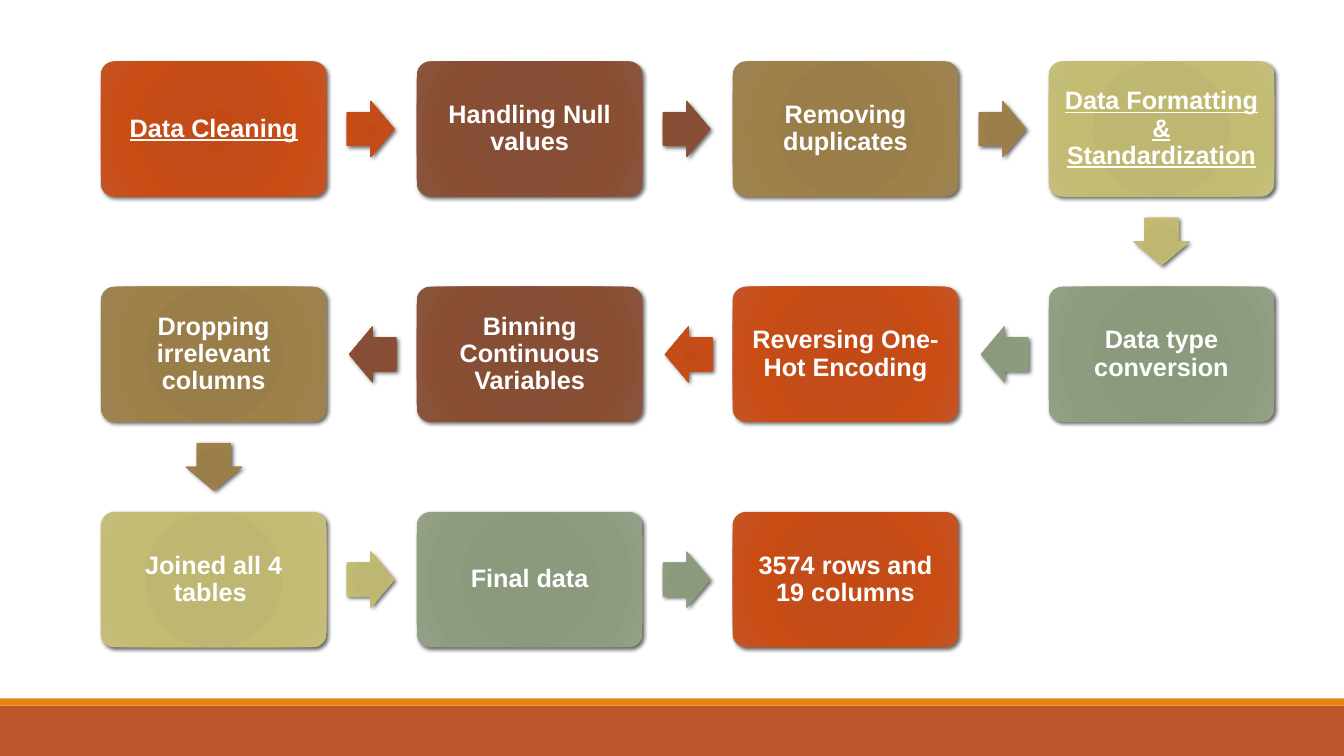
import dataclasses

import pptx
import pptx.dml.color
import pptx.enum.shapes
import pptx.enum.text
import pptx.oxml
import pptx.oxml.ns
import pptx.util

Inches = pptx.util.Inches
Pt = pptx.util.Pt
RGBColor = pptx.dml.color.RGBColor
MSO_SHAPE = pptx.enum.shapes.MSO_SHAPE
NAMESPACE = pptx.oxml.ns.nsdecls("a")


@dataclasses.dataclass(frozen=True)
class Theme:
    font: str = "Arial"
    step_size: float = 18
    text: str = "FFFFFF"
    footer: str = "BD582C"
    footer_edge: str = "E48312"
    shadow: str = "000000"
    gradients: tuple[tuple[str, ...], ...] = (
        ("C44A15", "C34C18", "C94C15", "C45525"),
        ("874C32", "864E34", "8A4E33", "8A553D"),
        ("9A7D48", "9A7E4A", "9E8049", "9E8454"),
        ("BEB76E", "BEB771", "C3BB71", "C5BF7D"),
        ("8A987B", "8B997D", "8D9C7E", "94A187"),
    )


@dataclasses.dataclass(frozen=True)
class Step:
    label: str
    underlined: bool = False


@dataclasses.dataclass(frozen=True)
class Band:
    top: float
    height: float
    color: str


THEME = Theme()
BANDS = (Band(7, 0.5, THEME.footer), Band(6.93, 0.07, THEME.footer_edge))
STEPS = (
    Step("Data Cleaning", True),
    Step("Handling Null values"),
    Step("Removing duplicates"),
    Step("Data Formatting & Standardization", True),
    Step("Data type conversion"),
    Step("Reversing One-Hot Encoding"),
    Step("Binning Continuous Variables"),
    Step("Dropping irrelevant columns"),
    Step("Joined all 4 tables "),
    Step("Final data"),
    Step("3574 rows and 19 columns"),
)

SLIDE_WIDTH, SLIDE_HEIGHT = 13.33, 7.5
COLUMNS = 4
FIRST_X, LAST_X = 2.12, 11.52
COLUMN_PITCH = (LAST_X - FIRST_X) / (COLUMNS - 1)
FIRST_Y, ROW_PITCH = 1.28, 2.235
STEP_WIDTH, STEP_HEIGHT = 2.24, 1.34
ARROW_WIDTH, ARROW_HEIGHT = 0.47, 0.56
ARROW_SETBACK = 0.01
STEP_INSET = 0.07
GRADIENT_STOPS = (0, 34, 70, 100)


def step_center(index: int) -> tuple[float, float]:
    row, column = divmod(index, COLUMNS)
    if row % 2:
        column = COLUMNS - 1 - column
    return FIRST_X + column * COLUMN_PITCH, FIRST_Y + row * ROW_PITCH


def add_plain(slide, kind, left: float, top: float, width: float, height: float):
    shape = slide.shapes.add_shape(
        kind, Inches(left), Inches(top), Inches(width), Inches(height)
    )
    shape.shadow.inherit = False
    shape.line.fill.background()
    shape.fill.solid()
    return shape


def add_glossy(slide, kind, center: tuple[float, float], width: float, height: float,
               gradient: tuple[str, ...]):
    x, y = center
    shape = add_plain(slide, kind, x - width / 2, y - height / 2, width, height)
    stops = "".join(
        f'<a:gs pos="{stop * 1000}"><a:srgbClr val="{color}"/></a:gs>'
        for stop, color in zip(GRADIENT_STOPS, gradient)
    )
    fill = pptx.oxml.parse_xml(
        f'<a:gradFill {NAMESPACE} rotWithShape="1"><a:gsLst>{stops}</a:gsLst>'
        '<a:path path="circle">'
        '<a:fillToRect l="100000" t="100000" r="100000" b="100000"/>'
        "</a:path></a:gradFill>"
    )
    shadow = pptx.oxml.parse_xml(
        f'<a:outerShdw {NAMESPACE} blurRad="{Pt(3)}" dist="{Pt(2)}" dir="2700000" '
        f'rotWithShape="0"><a:srgbClr val="{THEME.shadow}">'
        '<a:alpha val="60000"/></a:srgbClr></a:outerShdw>'
    )
    properties = shape._element.spPr
    properties.replace(properties.find(pptx.oxml.ns.qn("a:solidFill")), fill)
    properties.find(pptx.oxml.ns.qn("a:effectLst")).append(shadow)
    return shape


def add_step(slide, step: Step, index: int, gradient: tuple[str, ...]) -> None:
    box = add_glossy(slide, MSO_SHAPE.ROUNDED_RECTANGLE, step_center(index),
                     STEP_WIDTH, STEP_HEIGHT, gradient)
    box.adjustments[0] = 0.1
    frame = box.text_frame
    frame.word_wrap = True
    frame.vertical_anchor = pptx.enum.text.MSO_ANCHOR.MIDDLE
    frame.margin_left = frame.margin_right = Inches(STEP_INSET)
    frame.margin_top = frame.margin_bottom = Inches(STEP_INSET)
    label = frame.paragraphs[0]
    label.text = step.label
    label.alignment = pptx.enum.text.PP_ALIGN.CENTER
    label.line_spacing = 0.9
    label.space_after = Pt(0.35 * THEME.step_size)
    label.font.name = THEME.font
    label.font.size = Pt(THEME.step_size)
    label.font.bold = True
    label.font.underline = True if step.underlined else None
    label.font.color.rgb = RGBColor.from_string(THEME.text)


def add_arrow(slide, index: int, gradient: tuple[str, ...]) -> None:
    (x, y), (next_x, next_y) = step_center(index), step_center(index + 1)
    if next_y > y:
        rotation, setback = 90, 0.0
    elif next_x > x:
        rotation, setback = 0, -ARROW_SETBACK
    else:
        rotation, setback = 180, ARROW_SETBACK
    center = ((x + next_x) / 2 + setback, (y + next_y) / 2)
    arrow = add_glossy(slide, MSO_SHAPE.RIGHT_ARROW, center,
                       ARROW_WIDTH, ARROW_HEIGHT, gradient)
    arrow.adjustments[0] = 0.6
    arrow.adjustments[1] = 0.5
    arrow.rotation = rotation


def add_band(slide, band: Band) -> None:
    stripe = add_plain(slide, MSO_SHAPE.RECTANGLE, 0, band.top, SLIDE_WIDTH, band.height)
    stripe.fill.fore_color.rgb = RGBColor.from_string(band.color)


def main() -> None:
    presentation = pptx.Presentation()
    presentation.slide_width = Inches(SLIDE_WIDTH)
    presentation.slide_height = Inches(SLIDE_HEIGHT)
    slide = presentation.slides.add_slide(presentation.slide_layouts[6])
    for band in BANDS:
        add_band(slide, band)
    for index, step in enumerate(STEPS):
        gradient = THEME.gradients[index % len(THEME.gradients)]
        add_step(slide, step, index, gradient)
        if index < len(STEPS) - 1:
            add_arrow(slide, index, gradient)
    presentation.save("out.pptx")


if __name__ == "__main__":
    main()
